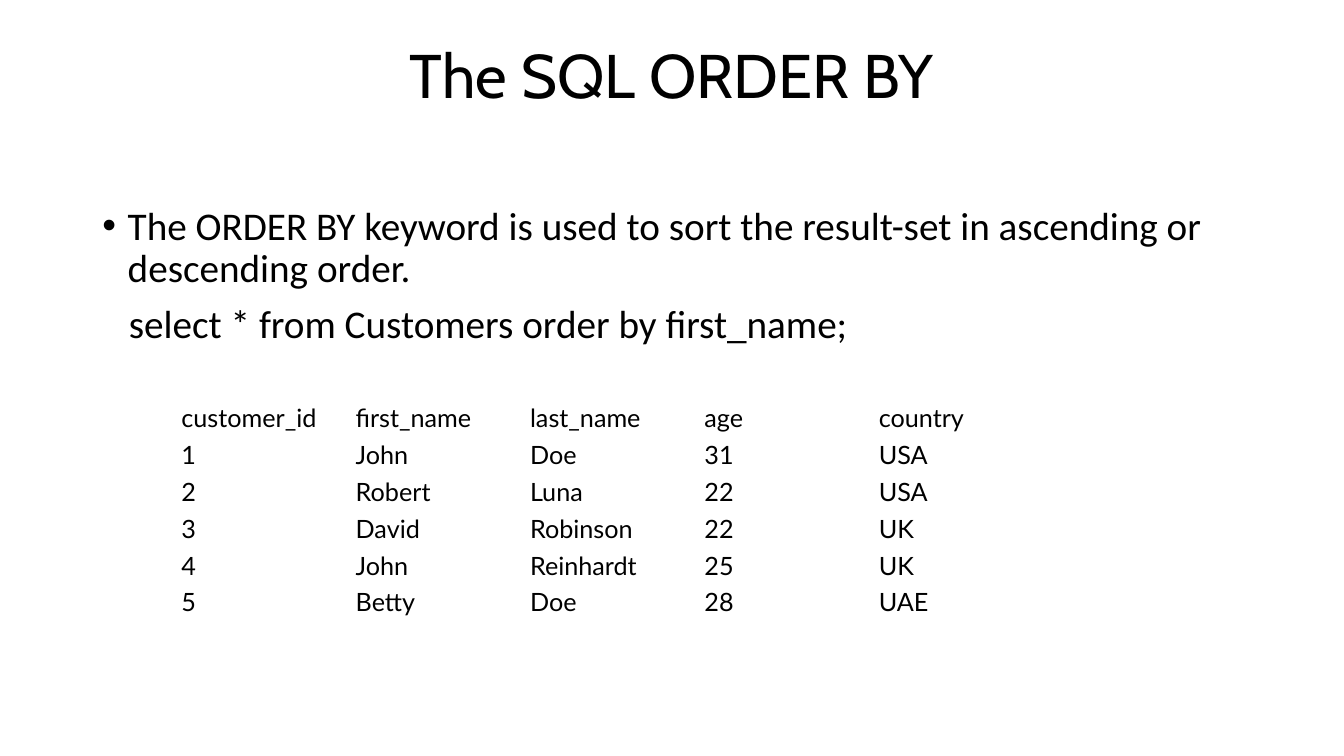
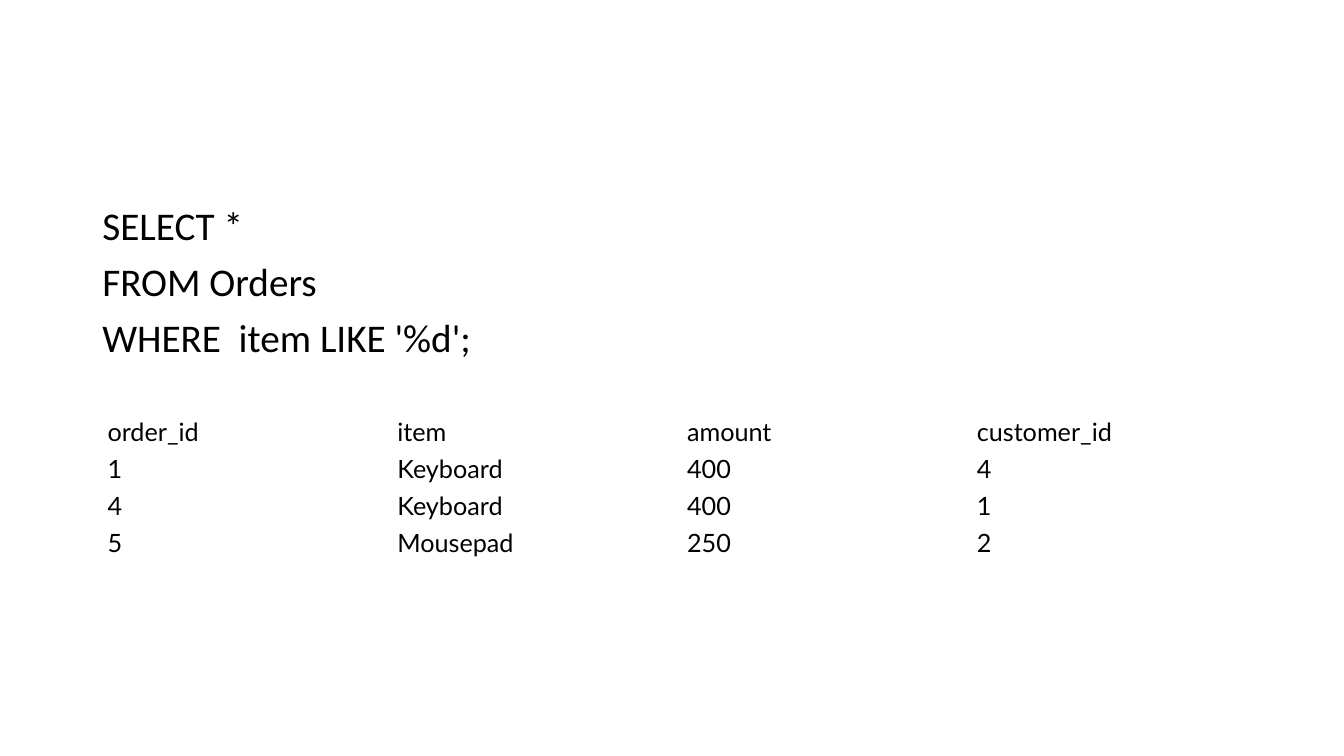
from lxml.etree import SubElement
from pptx import Presentation
from pptx.dml.color import RGBColor
from pptx.enum.text import MSO_ANCHOR, PP_ALIGN
from pptx.oxml.ns import qn
from pptx.util import Cm, Pt

BLACK = RGBColor(0x00, 0x00, 0x00)
WHITE = RGBColor(0xFF, 0xFF, 0xFF)
TITLE_FONT, BODY_FONT, TABLE_FONT = "Cabin", "Calibri", "Lato"

# Boxes as left, top, width, height in centimetres
TITLE_BOX = (2.33, 1.02, 29.21, 3.68)
BODY_BOX = (2.33, 5.07, 29.21, 12.09)
ROW_HEIGHT = 0.93
HANGING = 0.64

CUSTOMERS = [
    ("customer_id", "first_name", "last_name", "age", "country"),
    ("1", "John", "Doe", "31", "USA"),
    ("2", "Robert", "Luna", "22", "USA"),
    ("3", "David", "Robinson", "22", "UK"),
    ("4", "John", "Reinhardt", "25", "UK"),
    ("5", "Betty", "Doe", "28", "UAE"),
]
ORDERS = [
    ("order_id", "item", "amount", "customer_id"),
    ("1", "Keyboard", "400", "4"),
    ("4", "Keyboard", "400", "1"),
    ("5", "Mousepad", "250", "2"),
]


def write(para, text, font=BODY_FONT, size=28, align=PP_ALIGN.LEFT,
          line_spacing=0.9, before=0, indent=0, bullet=None):
    """Fill one paragraph with formatted text; indent is in centimetres."""
    properties = para._p.get_or_add_pPr()
    if indent:
        properties.set("marL", str(Cm(indent)))
    if bullet:
        properties.set("indent", str(-Cm(indent)))
        SubElement(properties, qn("a:buFont"), typeface="Arial")
        SubElement(properties, qn("a:buChar"), char=bullet)
    para.alignment = align
    para.line_spacing = line_spacing
    para.space_before = Pt(before)
    span = para.add_run()
    span.text = text
    span.font.name = font
    span.font.size = Pt(size)
    span.font.color.rgb = BLACK


def add_frame(page, area):
    frame = page.shapes.add_textbox(*map(Cm, area)).text_frame
    frame.word_wrap = True
    frame.vertical_anchor = MSO_ANCHOR.TOP
    return frame


def add_title(page, text, area=TITLE_BOX):
    write(add_frame(page, area).paragraphs[0], text,
          font=TITLE_FONT, size=44, align=PP_ALIGN.CENTER)


def add_body(page, lines, area=BODY_BOX):
    """Place lines given as pairs of text and paragraph format."""
    frame = add_frame(page, area)
    for number, (text, style) in enumerate(lines):
        para = frame.add_paragraph() if number else frame.paragraphs[0]
        write(para, text, before=10 if number else 0, **style)


def add_result(page, rows, left, top, width):
    """Place a plain query result with equal columns."""
    columns = len(rows[0])
    table = page.shapes.add_table(
        len(rows), columns, Cm(left), Cm(top),
        Cm(width), Cm(ROW_HEIGHT * len(rows))).table
    table.first_row = False
    table.horz_banding = False
    for column in table.columns:
        column.width = Cm(width / columns)
    for row, values in zip(table.rows, rows):
        row.height = Cm(ROW_HEIGHT)
        for cell, value in zip(row.cells, values):
            cell.fill.solid()
            cell.fill.fore_color.rgb = WHITE
            cell.vertical_anchor = MSO_ANCHOR.MIDDLE
            cell.margin_left = cell.margin_right = Cm(0.38)
            cell.margin_top = cell.margin_bottom = Cm(0.08)
            write(cell.text_frame.paragraphs[0], value,
                  font=TABLE_FONT, size=18, line_spacing=1.0)


def add_page(deck):
    page = deck.slides.add_slide(deck.slide_layouts[6])
    page.background.fill.solid()
    page.background.fill.fore_color.rgb = WHITE
    return page


def build_order_by(deck):
    page = add_page(deck)
    add_title(page, "The SQL ORDER BY")
    add_body(page, [
        ("The ORDER BY keyword is used to sort the result-set in ascending "
         "or descending order.", {"indent": HANGING, "bullet": "•"}),
        ("select * from Customers order by first_name;", {"indent": 0.67}),
    ])
    add_result(page, CUSTOMERS, left=4.19, top=10.06, width=21.97)


def build_like(deck):
    page = add_page(deck)
    query = ("SELECT *", "FROM Orders", "WHERE  item LIKE '%d';")
    add_body(page, [(line, {}) for line in query])
    add_result(page, ORDERS, left=BODY_BOX[0], top=10.42, width=BODY_BOX[2])


def main():
    deck = Presentation()
    deck.slide_width, deck.slide_height = Cm(33.87), Cm(19.05)
    build_order_by(deck)
    build_like(deck)
    deck.save("out.pptx")


if __name__ == "__main__":
    main()
